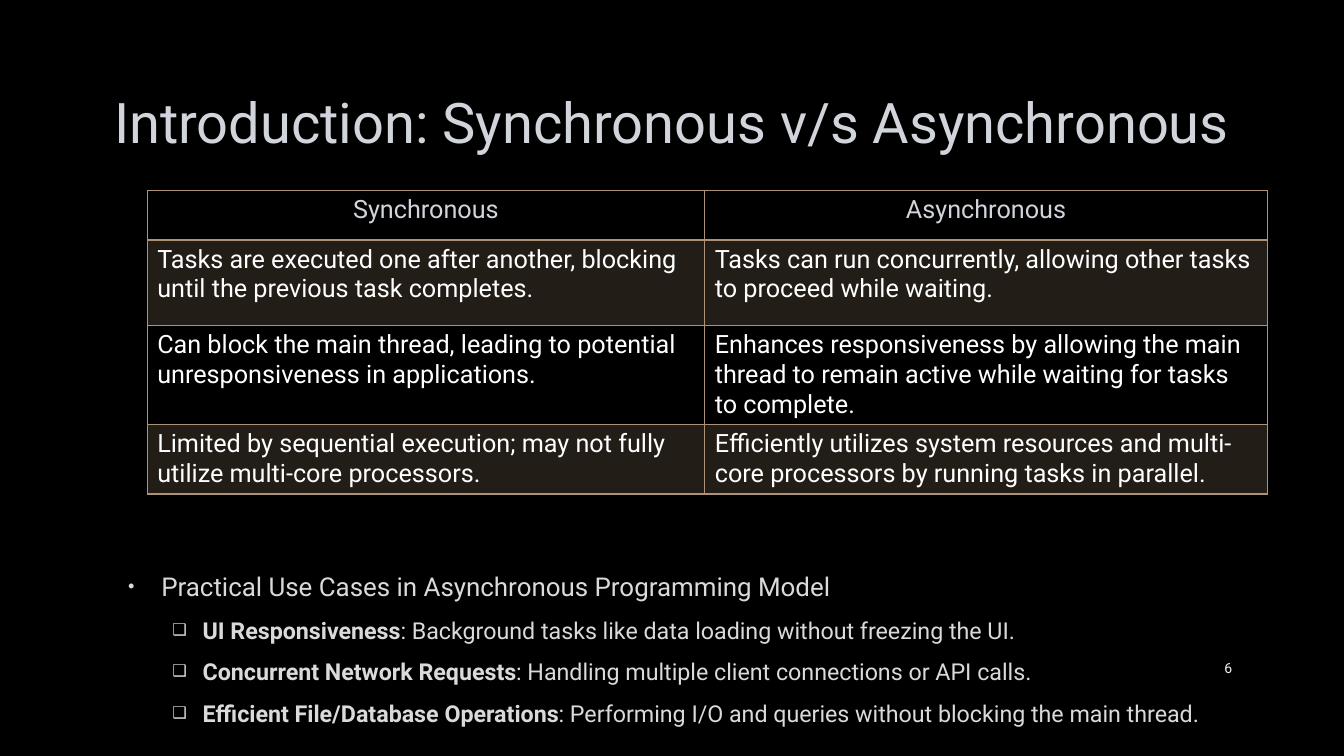
import dataclasses

import lxml.etree
import pptx
import pptx.dml.color
import pptx.enum.text
import pptx.oxml.ns
import pptx.util

Inches = pptx.util.Inches
Pt = pptx.util.Pt
Align = pptx.enum.text.PP_ALIGN
Anchor = pptx.enum.text.MSO_ANCHOR


@dataclasses.dataclass(frozen=True)
class Theme:
    face: str = "Roboto"
    back: str = "000000"
    head: str = "D1D5DB"
    cell: str = "FFFFFF"
    list: str = "DADADA"
    page: str = "F2F2F2"
    rule: str = "AD9277"
    band: int = 20
    title_size: float = 40
    cell_size: float = 18
    lead_size: float = 18.5
    case_size: float = 16.6
    page_size: float = 10


@dataclasses.dataclass(frozen=True)
class Box:
    left: float
    top: float
    width: float
    height: float

    def lengths(self) -> tuple:
        return tuple(Inches(n) for n in dataclasses.astuple(self))


@dataclasses.dataclass(frozen=True)
class Item:
    bold: str
    plain: str
    level: int = 1


@dataclasses.dataclass(frozen=True)
class Level:
    indent: float
    hang: float
    mark: str
    size: float


THEME = Theme()
LEVELS = (
    Level(0.38, 0.33, "•", THEME.lead_size),
    Level(0.79, 0.30, "❑", THEME.case_size),
)
ITEMS = (
    Item("", "Practical Use Cases in Asynchronous Programming Model", 0),
    Item("UI Responsiveness", ": Background tasks like data loading without freezing the UI."),
    Item("Concurrent Network Requests", ": Handling multiple client connections or API calls."),
    Item("Efficient File/Database Operations",
         ": Performing I/O and queries without blocking the main thread."),
)
ROWS = (
    ("Synchronous", "Asynchronous"),
    ("Tasks are executed one after another, blocking until the previous task completes.",
     "Tasks can run concurrently, allowing other tasks to proceed while waiting."),
    ("Can block the main thread, leading to potential unresponsiveness in applications.",
     "Enhances responsiveness by allowing the main thread to remain active while waiting "
     "for tasks to complete."),
    ("Limited by sequential execution; may not fully utilize multi-core processors.",
     "Efficiently utilizes system resources and multi-core processors by running tasks "
     "in parallel."),
)
WIDTHS = (5.53, 5.58)
HEIGHTS = (0.49, 0.85, 0.98, 0.69)


def paint(color: str) -> pptx.dml.color.RGBColor:
    return pptx.dml.color.RGBColor.from_string(color)


def add_node(parent, tag: str, **attrs: str):
    node = lxml.etree.SubElement(parent, pptx.oxml.ns.qn(tag))
    for key, value in attrs.items():
        node.set(key, value)
    return node


def set_font(para, size: float, color: str) -> None:
    font = para.font
    font.name, font.size, font.bold = THEME.face, Pt(size), False
    font.color.rgb = paint(color)


def place(shape, box: Box) -> None:
    shape.left, shape.top, shape.width, shape.height = box.lengths()


def write_line(frame, text: str, size: float, color: str, align) -> None:
    para = frame.paragraphs[0]
    para.text, para.alignment = text, align
    set_font(para, size, color)


def set_bullet(para, level: Level) -> None:
    props = para._p.get_or_add_pPr()
    props.set("marL", str(Inches(level.indent)))
    props.set("indent", str(-Inches(level.hang)))
    add_node(add_node(props, "a:buClr"), "a:srgbClr", val=THEME.list)
    add_node(props, "a:buSzPct", val="70000")
    add_node(props, "a:buChar", char=level.mark)


def add_list(shape, box: Box) -> None:
    place(shape, box)
    frame = shape.text_frame
    frame.auto_size = pptx.enum.text.MSO_AUTO_SIZE.NONE
    frame.vertical_anchor = Anchor.BOTTOM
    for index, item in enumerate(ITEMS):
        para = frame.add_paragraph() if index else frame.paragraphs[0]
        level = LEVELS[item.level]
        para.level, para.alignment = item.level, Align.LEFT
        para.space_before, para.space_after = Pt(3.7), Pt(6)
        set_bullet(para, level)
        set_font(para, level.size, THEME.list)
        if item.bold:
            run = para.add_run()
            run.text, run.font.bold = item.bold, True
        para.add_run().text = item.plain


def set_rules(cell, top: float, base: float) -> None:
    props = cell._tc.get_or_add_tcPr()
    for side, width in (("L", 1), ("R", 1), ("T", top), ("B", base)):
        line = add_node(props, f"a:ln{side}", w=str(Pt(width)))
        add_node(add_node(line, "a:solidFill"), "a:srgbClr", val=THEME.rule)


def set_band(cell, band: bool) -> None:
    if not band:
        cell.fill.background()
        return
    cell.fill.solid()
    cell.fill.fore_color.rgb = paint(THEME.rule)
    color = cell._tc.tcPr.find("./" + pptx.oxml.ns.qn("a:solidFill"))[0]
    add_node(color, "a:alpha", val=str(THEME.band * 1000))


def add_grid(slide, box: Box) -> None:
    table = slide.shapes.add_table(len(ROWS), len(WIDTHS), *box.lengths()).table
    table.horz_banding = False
    for column, width in zip(table.columns, WIDTHS):
        column.width = Inches(width)
    for index, (row, height, texts) in enumerate(zip(table.rows, HEIGHTS, ROWS)):
        row.height = Inches(height)
        head = index == 0
        for cell, text in zip(row.cells, texts):
            write_line(cell.text_frame, text, THEME.cell_size,
                       THEME.head if head else THEME.cell,
                       Align.CENTER if head else Align.LEFT)
            set_rules(cell, 2 if index == 1 else 1, 2 if head else 1)
            set_band(cell, index % 2 == 1)


def main() -> None:
    deck = pptx.Presentation()
    deck.slide_width, deck.slide_height = Inches(13.33), Inches(7.5)
    slide = deck.slides.add_slide(deck.slide_layouts[1])
    slide.background.fill.solid()
    slide.background.fill.fore_color.rgb = paint(THEME.back)

    title = slide.shapes.title
    place(title, Box(1, 0.67, 11.32, 1.06))
    title.text_frame.vertical_anchor = Anchor.MIDDLE
    write_line(title.text_frame, "Introduction: Synchronous v/s Asynchronous",
               THEME.title_size, THEME.head, Align.CENTER)

    add_list(slide.placeholders[1], Box(1.12, 1.55, 11.32, 5.71))
    add_grid(slide, Box(1.46, 1.89, sum(WIDTHS), sum(HEIGHTS)))

    page = slide.shapes.add_textbox(*Box(11.5, 6.43, 0.82, 0.4).lengths())
    page.text_frame.word_wrap = True
    page.text_frame.vertical_anchor = Anchor.MIDDLE
    write_line(page.text_frame, "6", THEME.page_size, THEME.page, Align.RIGHT)
    deck.save("out.pptx")


if __name__ == "__main__":
    main()
